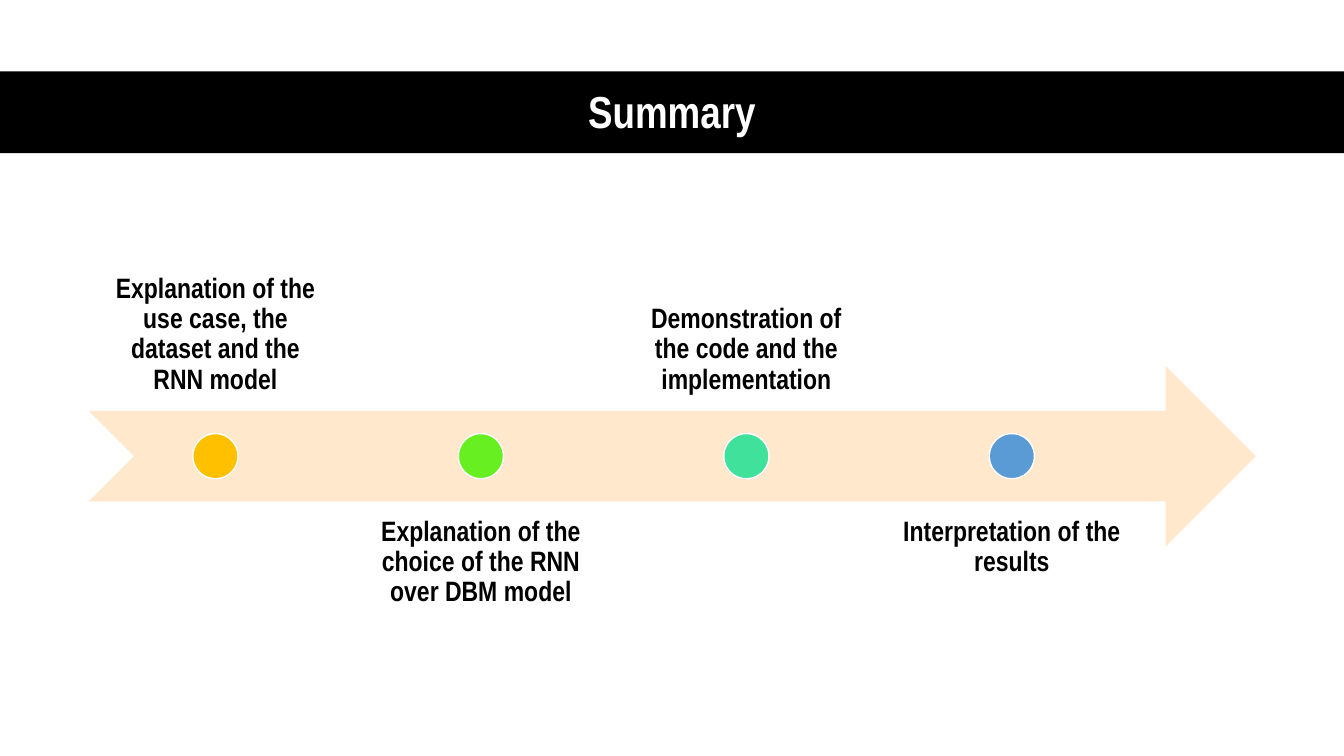
from pptx import Presentation
from pptx.dml.color import RGBColor
from pptx.enum.shapes import MSO_SHAPE
from pptx.enum.text import MSO_ANCHOR, MSO_AUTO_SIZE, PP_ALIGN
from pptx.util import Cm, Pt

FONT = "Arial Narrow"
COLORS = {
    "band": "000000",
    "title": "FFFFFF",
    "label": "000000",
    "arrow": "FFE8CC",
    "outline": "FFFFFF",
    "amber": "FFC000",
    "green": "67EF21",
    "mint": "3FE19B",
    "blue": "5B9BD5",
}
STEPS = [
    ("Explanation of the use case, the dataset and the RNN model", "amber"),
    ("Explanation of the choice of the RNN over DBM model", "green"),
    ("Demonstration of the code and the implementation", "mint"),
    ("Interpretation of the results", "blue"),
]


def rgb(name):
    """Return the named colour."""
    return RGBColor.from_string(COLORS[name])


def add_filled(slide, kind, box, fill, outline=None):
    """Add a flat preset shape in a box given in centimetres."""
    sp = slide.shapes.add_shape(kind, *map(Cm, box))
    sp.shadow.inherit = False
    sp.fill.solid()
    sp.fill.fore_color.rgb = rgb(fill)
    if outline:
        sp.line.color.rgb = rgb(outline)
        sp.line.width = Pt(1)
    else:
        sp.line.fill.background()
    return sp


def write_text(tf, text, size, color, anchor):
    """Write one bold centred paragraph into a text frame."""
    tf.text = text
    tf.word_wrap = True
    tf.auto_size = MSO_AUTO_SIZE.NONE
    tf.vertical_anchor = anchor
    p = tf.paragraphs[0]
    p.alignment = PP_ALIGN.CENTER
    p.line_spacing = 0.9
    p.space_before = Pt(0)
    r = p.runs[0]
    r.font.name = FONT
    r.font.size = Pt(size)
    r.font.bold = True
    r.font.color.rgb = rgb(color)


def add_title_band(slide, box, text):
    """Draw the band and centre the slide title over it."""
    left, top, width, height = box
    band = add_filled(slide, MSO_SHAPE.RECTANGLE, box, "band")
    title = slide.shapes.title
    title._element.addprevious(band._element)
    margin = 2.34
    title.left, title.top = Cm(left + margin), Cm(top + 0.08)
    title.width, title.height = Cm(width - 2 * margin), Cm(height - 0.08)
    write_text(title.text_frame, text, 32, "title", MSO_ANCHOR.MIDDLE)


def add_label(slide, box, text, anchor):
    """Add a step label in a padded text box."""
    tf = slide.shapes.add_textbox(*map(Cm, box)).text_frame
    tf.margin_left = tf.margin_right = Cm(0.4)
    tf.margin_top = tf.margin_bottom = Cm(0.4)
    write_text(tf, text, 20, "label", anchor)


def add_timeline(slide, box, steps):
    """Draw the arrow with its dots and labels alternating above and below."""
    left, top, width, height = box
    label_w, pitch, dot = 6.38, 6.69, height / 4
    add_filled(slide, MSO_SHAPE.NOTCHED_RIGHT_ARROW, box, "arrow")
    for i, (text, color) in enumerate(steps):
        x = left + i * pitch
        above = i % 2 == 0
        y = top + height * (-0.75 if above else 0.75)
        anchor = MSO_ANCHOR.BOTTOM if above else MSO_ANCHOR.TOP
        add_label(slide, (x, y, label_w, height), text, anchor)
        dot_box = (x + (label_w - dot) / 2, top + (height - dot) / 2, dot, dot)
        add_filled(slide, MSO_SHAPE.OVAL, dot_box, color, "outline")


def main():
    """Build the summary slide and save it."""
    prs = Presentation()
    prs.slide_width, prs.slide_height = Cm(33.87), Cm(19.05)
    slide = prs.slides.add_slide(prs.slide_layouts[5])
    add_title_band(slide, (0, 1.8, 33.87, 2.06), "Summary")
    add_timeline(slide, (2.24, 9.22, 29.41, 4.55), STEPS)
    prs.save("out.pptx")


if __name__ == "__main__":
    main()
